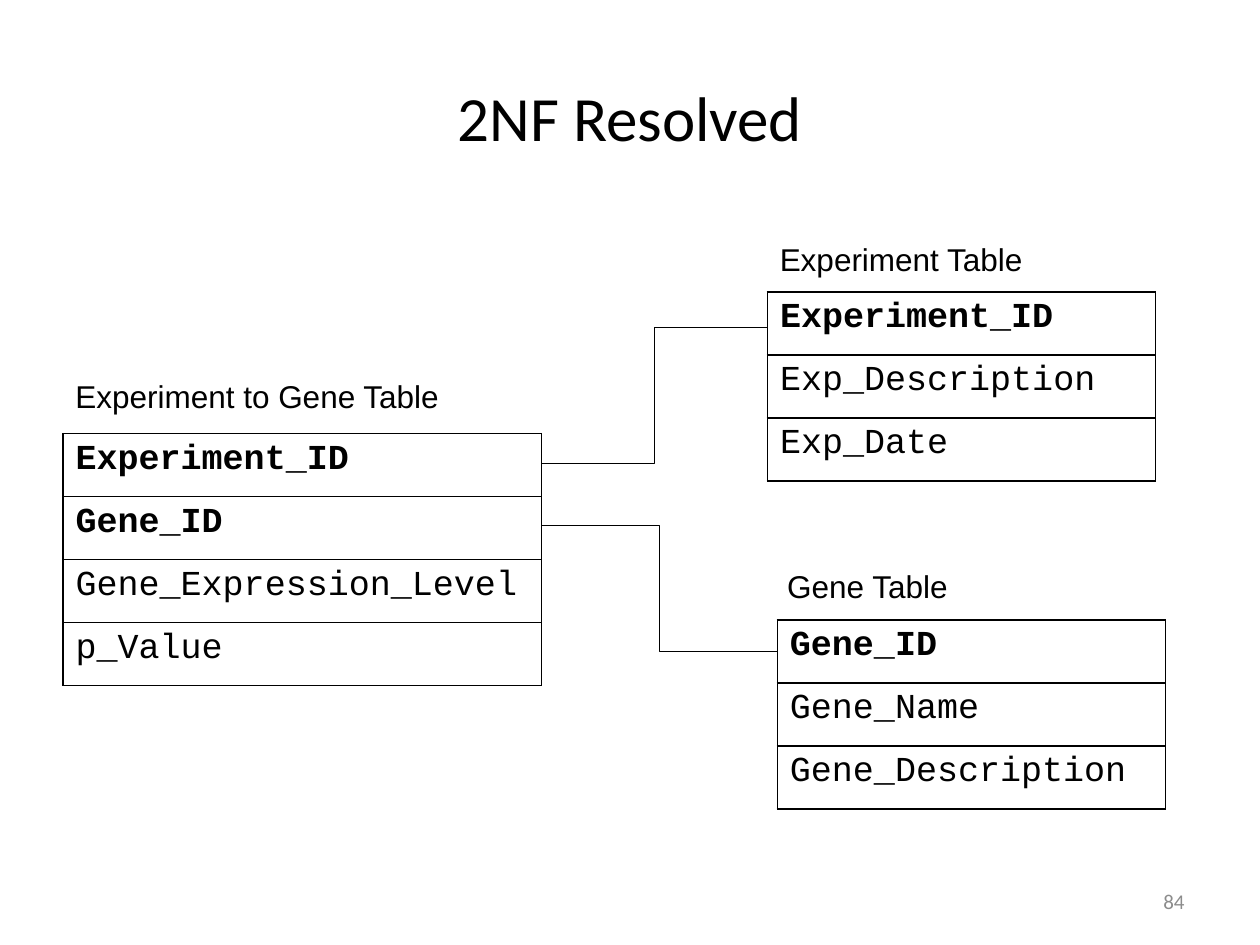
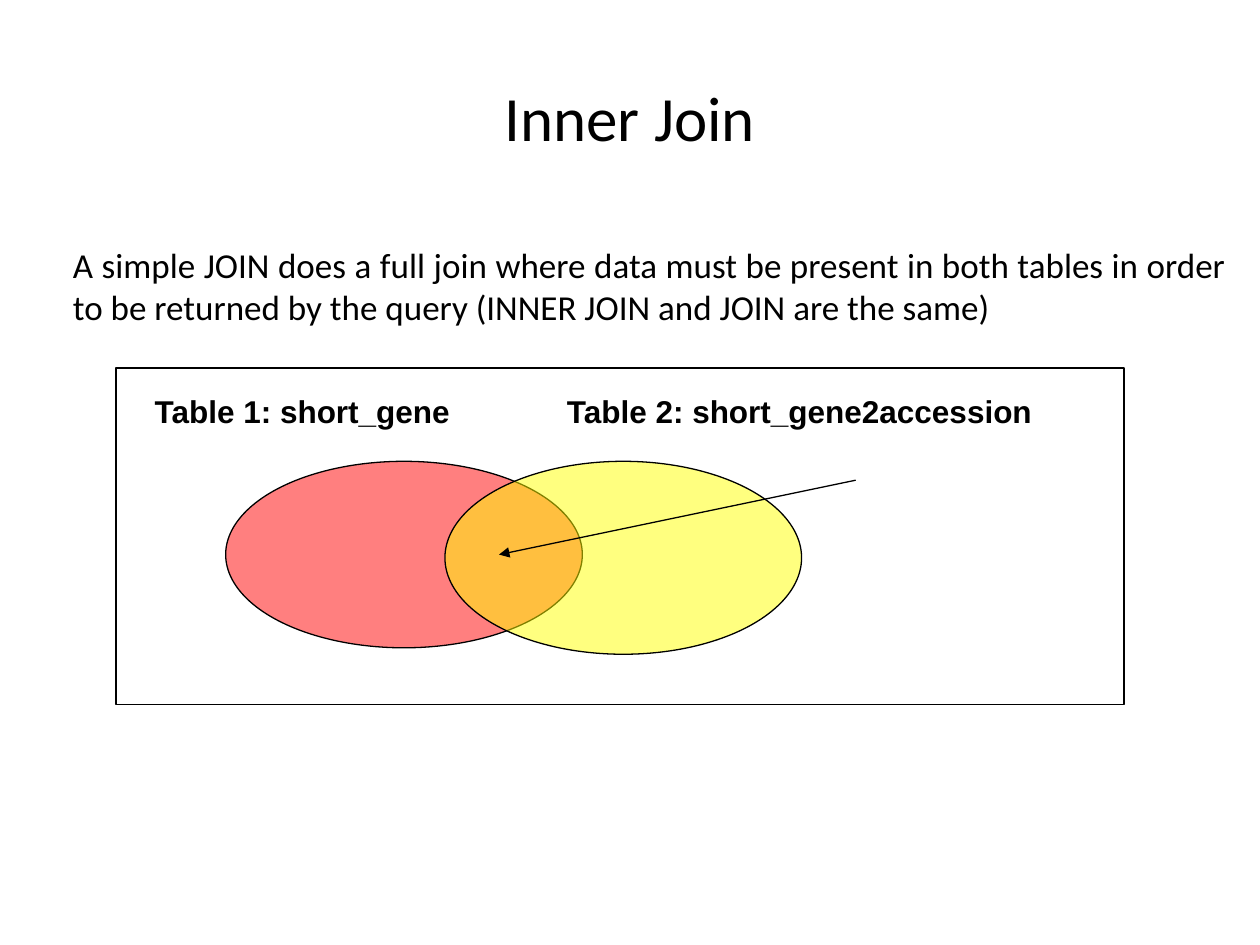
from lxml import etree
from pptx import Presentation
from pptx.dml.color import RGBColor
from pptx.enum.shapes import MSO_CONNECTOR, MSO_SHAPE
from pptx.enum.text import MSO_ANCHOR, PP_ALIGN
from pptx.oxml.ns import qn
from pptx.util import Cm, Pt

STRAIGHT, ELBOW = MSO_CONNECTOR.STRAIGHT, MSO_CONNECTOR.ELBOW
RECTANGLE, OVAL = MSO_SHAPE.RECTANGLE, MSO_SHAPE.OVAL
TOP, MIDDLE = MSO_ANCHOR.TOP, MSO_ANCHOR.MIDDLE
LEFT, CENTER = PP_ALIGN.LEFT, PP_ALIGN.CENTER
RIGHT, JUSTIFY = PP_ALIGN.RIGHT, PP_ALIGN.JUSTIFY


def color(hex_string):
    return RGBColor.from_string(hex_string)


class Deck:
    ink, paper, muted = "000000", "FFFFFF", "8C8C8C"
    heading_font, label_font, code_font = "Calibri", "Arial", "Courier New"
    line_width = Pt(0.75)
    row_height, hanging = Cm(1.27), Cm(0.97)

    def __init__(self):
        self.presentation = Presentation()
        self.presentation.slide_width = Cm(25.4)
        self.presentation.slide_height = Cm(19.05)

    def new_slide(self, title):
        layout = self.presentation.slide_layouts[6]
        self.slide = self.presentation.slides.add_slide(layout)
        self.shapes = self.slide.shapes
        self.text(title, 1.27, 0.76, 22.86, 3.18, 36, self.heading_font,
                  align=CENTER, anchor=MIDDLE)

    def start_group(self):
        self.shapes = self.slide.shapes.add_group_shape().shapes

    def end_group(self):
        self.shapes = self.slide.shapes

    def add_run(self, paragraph, words, size, font, hex_string, bold=False):
        run = paragraph.add_run()
        run.text = words
        run.font.size = Pt(size)
        run.font.name = font
        run.font.bold = bold
        run.font.color.rgb = color(hex_string)

    def text(self, words, left, top, width, height, size, font, hex_string=ink,
             bold=False, align=LEFT, anchor=TOP, wrap=True, fill=None):
        box = self.shapes.add_textbox(Cm(left), Cm(top), Cm(width), Cm(height))
        if fill:
            box.fill.solid()
            box.fill.fore_color.rgb = color(fill)
        frame = box.text_frame
        frame.word_wrap = wrap
        frame.vertical_anchor = anchor
        paragraph = frame.paragraphs[0]
        paragraph.alignment = align
        self.add_run(paragraph, words, size, font, hex_string, bold)

    def caption(self, words, left, top, width):
        self.text(words, left, top, width, 1.02, 18, self.label_font, wrap=False)

    def set_label(self, words, left, top, width, height):
        self.text(words, left, top, width, height, 18, self.label_font,
                  bold=True, fill=self.paper)

    def page_number(self, number):
        self.text(number, 18.21, 17.65, 5.92, 1.02, 12, self.heading_font,
                  self.muted, align=RIGHT, anchor=MIDDLE)

    def border(self, cell):
        properties = cell._tc.get_or_add_tcPr()
        for position, side in enumerate(("lnL", "lnR", "lnT", "lnB")):
            edge = etree.Element(qn(f"a:{side}"), w=str(Pt(1)))
            solid = etree.SubElement(edge, qn("a:solidFill"))
            etree.SubElement(solid, qn("a:srgbClr"), val=self.ink)
            properties.insert(position, edge)

    def schema(self, keys, fields, left, top, width):
        names = keys + fields
        table = self.shapes.add_table(
            len(names), 1, Cm(left), Cm(top), Cm(width),
            self.row_height * len(names)).table
        table.first_row = False
        table.horz_banding = False
        for row, name in enumerate(names):
            cell = table.cell(row, 0)
            cell.fill.background()
            self.border(cell)
            paragraph = cell.text_frame.paragraphs[0]
            indents = paragraph._p.get_or_add_pPr()
            indents.set("marL", str(self.hanging))
            indents.set("indent", str(-self.hanging))
            self.add_run(paragraph, name, 20, self.code_font, self.ink, name in keys)

    def outline(self, line):
        line.color.rgb = color(self.ink)
        line.width = self.line_width

    def shape(self, preset, left, top, width, height, fill=None, opacity=100):
        shape = self.shapes.add_shape(
            preset, Cm(left), Cm(top), Cm(width), Cm(height))
        shape.shadow.inherit = False
        self.outline(shape.line)
        if fill is None:
            shape.fill.background()
            return
        shape.fill.solid()
        shape.fill.fore_color.rgb = color(fill)
        tint = shape.fill._xPr.find(f".//{qn('a:srgbClr')}")
        etree.SubElement(tint, qn("a:alpha"), val=str(opacity * 1000))

    def connector(self, kind, start, end, arrow=False):
        link = self.shapes.add_connector(
            kind, *(Cm(length) for length in (*start, *end)))
        self.outline(link.line)
        if arrow:
            etree.SubElement(link.line._get_or_add_ln(), qn("a:tailEnd"),
                             type="triangle")
        etree.SubElement(link._element.spPr, qn("a:effectLst"))


def second_normal_form(deck):
    deck.new_slide("2NF Resolved")
    deck.schema(["Experiment_ID", "Gene_ID"],
                ["Gene_Expression_Level", "p_Value"], 1.27, 8.74, 9.65)
    deck.schema(["Experiment_ID"], ["Exp_Description", "Exp_Date"],
                15.47, 5.89, 7.82)
    deck.schema(["Gene_ID"], ["Gene_Name", "Gene_Description"],
                15.67, 12.5, 7.82)
    deck.connector(ELBOW, (10.92, 10.59), (15.67, 13.13))
    deck.connector(ELBOW, (15.47, 6.6), (10.92, 9.35))
    deck.page_number("84")
    deck.caption("Gene Table", 15.62, 11.3, 3.78)
    deck.caption("Experiment Table", 15.47, 4.72, 5.46)
    deck.caption("Experiment to Gene Table", 1.27, 7.47, 7.9)


def inner_join(deck):
    deck.new_slide("Inner Join")
    deck.start_group()
    deck.shape(RECTANGLE, 2.34, 7.42, 20.32, 6.78)
    deck.shape(OVAL, 4.55, 9.3, 7.19, 3.76, "FF0000", 50)
    deck.set_label("Table 1: short_gene", 2.87, 7.77, 7.75, 0.94)
    deck.set_label("Table 2: short_gene2accession", 11.18, 7.77, 10.69, 1.5)
    deck.shape(OVAL, 8.97, 9.3, 7.19, 3.89, "FFFF00", 50)
    deck.connector(STRAIGHT, (17.25, 9.68), (10.06, 11.18), arrow=True)
    deck.end_group()
    deck.text("A simple JOIN does a full join where data must be present in both "
              "tables in order to be returned by the query (INNER JOIN and JOIN "
              "are the same)", 1.22, 4.78, 23.75, 1.96, 20, deck.heading_font,
              align=JUSTIFY)


def main():
    deck = Deck()
    second_normal_form(deck)
    inner_join(deck)
    deck.presentation.save("out.pptx")


if __name__ == "__main__":
    main()
